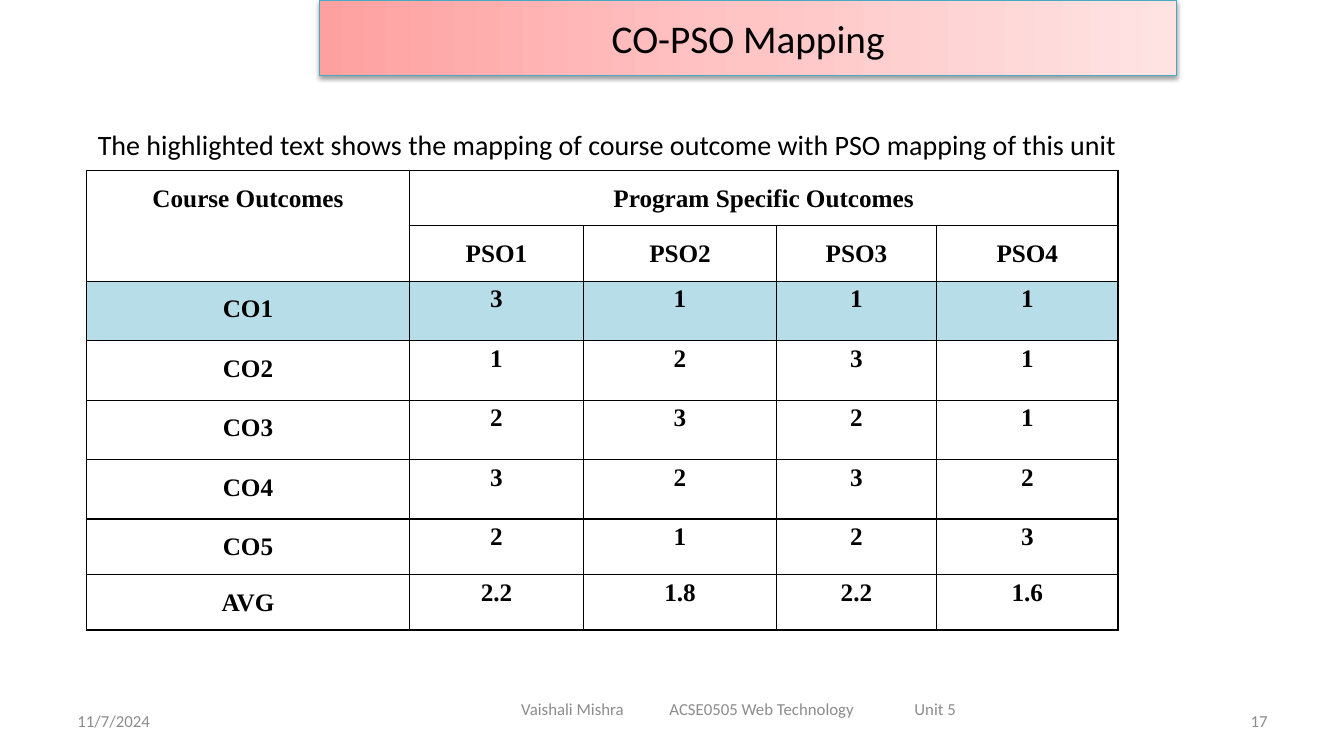
from dataclasses import dataclass

from lxml.etree import SubElement
from pptx import Presentation
from pptx.dml.color import RGBColor
from pptx.enum.text import MSO_ANCHOR, MSO_AUTO_SIZE, PP_ALIGN
from pptx.oxml import parse_xml
from pptx.oxml.ns import nsdecls, qn
from pptx.util import Emu, Pt

EMU_PER_PX = 9144  # 100 px to the inch
COLORS = {
    "text": "000000",
    "muted": "8C8C8C",
    "highlight": "B7DEE8",
    "title_line": "46AAC5",
    "title_start": "FFA0A0",
    "title_middle": "FFC5C5",
    "title_end": "FFE3E3",
}
TITLE_FONT = {"name": "Calibri", "size": Pt(28), "bold": False}
NOTE_FONT = {"name": "Calibri", "size": Pt(20)}
FOOTER_FONT = {"name": "Calibri", "size": Pt(12)}
TABLE_FONT = {"name": "Times New Roman", "size": Pt(18), "bold": True}

COLUMN_WIDTHS = [320, 173, 191, 159, 180]
ROW_HEIGHTS = [55, 55, 59, 59, 59, 59, 55, 55]
HEADER_ROWS = 2
HIGHLIGHTED_ROW = 2
MAPPING = [
    ["Course Outcomes", "Program Specific Outcomes", "", "", ""],
    ["", "PSO1", "PSO2", "PSO3", "PSO4"],
    ["CO1", "3", "1", "1", "1"],
    ["CO2", "1", "2", "3", "1"],
    ["CO3", "2", "3", "2", "1"],
    ["CO4", "3", "2", "3", "2"],
    ["CO5", "2", "1", "2", "3"],
    ["AVG", "2.2", "1.8", "2.2", "1.6"],
]


@dataclass(frozen=True)
class Label:
    text: str
    left: int
    top: int
    width: int
    height: int
    font: dict
    color: str
    align: PP_ALIGN = PP_ALIGN.LEFT
    anchor: MSO_ANCHOR = MSO_ANCHOR.MIDDLE
    left_inset: int = 10
    tabs: tuple[int, ...] = ()


LABELS = [
    Label("11/7/2024", 67, 695, 311, 40, FOOTER_FONT, "muted"),
    Label("Vaishali Mishra\tACSE0505 Web Technology\tUnit 5", 475, 683, 517, 40,
          FOOTER_FONT, "muted", left_inset=42, tabs=(147, 390)),
    Label("17", 956, 695, 311, 40, FOOTER_FONT, "muted", PP_ALIGN.RIGHT),
    Label("The highlighted text shows the mapping of course outcome with PSO mapping of this unit",
          50, 122, 1167, 44, NOTE_FONT, "text", anchor=MSO_ANCHOR.TOP, left_inset=47),
]


def px(length: int) -> Emu:
    return Emu(length * EMU_PER_PX)


def style_font(font, values: dict, color: str) -> None:
    for name, value in values.items():
        setattr(font, name, value)
    font.color.rgb = RGBColor.from_string(COLORS[color])


def add_label(slide, label: Label) -> None:
    box = slide.shapes.add_textbox(px(label.left), px(label.top), px(label.width), px(label.height))
    frame = box.text_frame
    frame.word_wrap = True
    frame.vertical_anchor = label.anchor
    frame.margin_left = px(label.left_inset)
    para = frame.paragraphs[0]
    para.alignment = label.align
    if label.tabs:
        tab_list = SubElement(para._p.get_or_add_pPr(), qn("a:tabLst"))
        for position in label.tabs:
            SubElement(tab_list, qn("a:tab"), pos=str(px(position)), algn="l")
    span = para.add_run()
    span.text = label.text
    style_font(span.font, label.font, label.color)


def format_title(title) -> None:
    title.left, title.top, title.width, title.height = px(317), px(0), px(850), px(75)
    properties = title._element.spPr
    stops = "".join(
        f'<a:gs pos="{position}"><a:srgbClr val="{COLORS[name]}"/></a:gs>'
        for position, name in ((0, "title_start"), (50000, "title_middle"), (100000, "title_end"))
    )
    properties.append(parse_xml('<a:prstGeom %s prst="rect"><a:avLst/></a:prstGeom>' % nsdecls("a")))
    properties.append(parse_xml(
        f'<a:gradFill {nsdecls("a")} rotWithShape="1"><a:gsLst>{stops}</a:gsLst>'
        '<a:lin ang="0" scaled="0"/></a:gradFill>'
    ))
    title.line.color.rgb = RGBColor.from_string(COLORS["title_line"])
    title.line.width = Pt(0.75)
    properties.append(parse_xml(
        f'<a:effectLst {nsdecls("a")}><a:outerShdw blurRad="40000" dist="20000" dir="5400000" '
        'rotWithShape="0"><a:srgbClr val="000000"><a:alpha val="38000"/></a:srgbClr>'
        '</a:outerShdw></a:effectLst>'
    ))
    frame = title.text_frame
    frame.text = "CO-PSO Mapping"
    frame.word_wrap = True
    frame.auto_size = MSO_AUTO_SIZE.NONE
    frame.vertical_anchor = MSO_ANCHOR.MIDDLE
    para = frame.paragraphs[0]
    para.alignment = PP_ALIGN.CENTER
    style_font(para.runs[0].font, TITLE_FONT, "text")


def add_borders(cell) -> None:
    properties = cell._tc.get_or_add_tcPr()
    for side in ("lnL", "lnR", "lnT", "lnB"):
        properties.append(parse_xml(
            f'<a:{side} {nsdecls("a")} w="12700"><a:solidFill>'
            f'<a:srgbClr val="{COLORS["text"]}"/></a:solidFill></a:{side}>'
        ))


def format_cell(cell, text: str, row: int, column: int) -> None:
    add_borders(cell)
    if row == HIGHLIGHTED_ROW:
        cell.fill.solid()
        cell.fill.fore_color.rgb = RGBColor.from_string(COLORS["highlight"])
    else:
        cell.fill.background()
    cell.margin_left = cell.margin_right = px(7)
    cell.margin_top = cell.margin_bottom = px(10 if row < HEADER_ROWS or column == 0 else 0)
    cell.vertical_anchor = MSO_ANCHOR.TOP
    if text:
        para = cell.text_frame.paragraphs[0]
        para.alignment = PP_ALIGN.CENTER
        para.line_spacing = 1.15
        span = para.add_run()
        span.text = text
        style_font(span.font, TABLE_FONT, "text")


def add_mapping_table(slide) -> None:
    table = slide.shapes.add_table(
        len(ROW_HEIGHTS), len(COLUMN_WIDTHS),
        px(86), px(169), px(sum(COLUMN_WIDTHS)), px(sum(ROW_HEIGHTS)),
    ).table
    table.first_row = table.horz_banding = False
    for column, width in zip(table.columns, COLUMN_WIDTHS):
        column.width = px(width)
    for row, height in zip(table.rows, ROW_HEIGHTS):
        row.height = px(height)
    table.cell(0, 0).merge(table.cell(1, 0))
    table.cell(0, 1).merge(table.cell(0, 4))
    for row, texts in enumerate(MAPPING):
        for column, text in enumerate(texts):
            format_cell(table.cell(row, column), text, row, column)


def main() -> None:
    deck = Presentation()
    deck.slide_width, deck.slide_height = px(1333), px(750)
    page = deck.slides.add_slide(deck.slide_layouts[5])
    format_title(page.shapes.title)
    for label in LABELS:
        add_label(page, label)
    add_mapping_table(page)
    deck.save("out.pptx")


if __name__ == "__main__":
    main()
